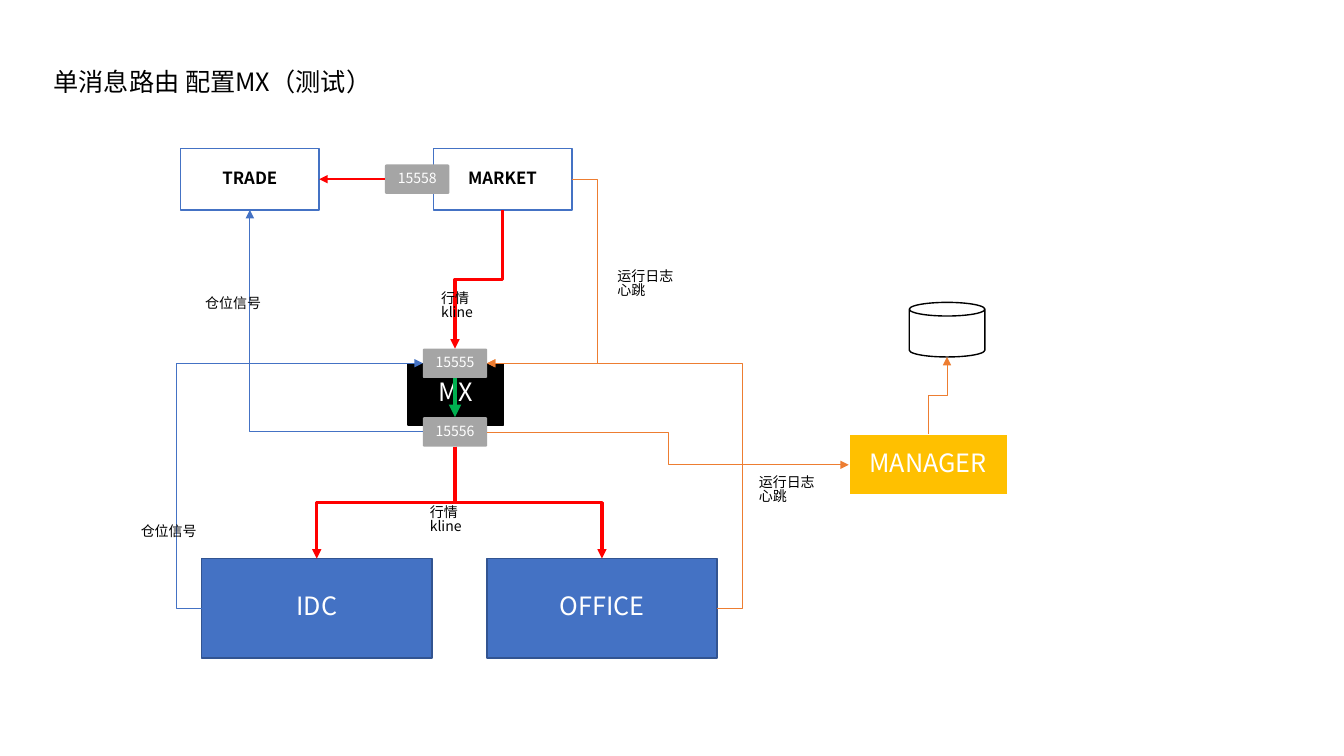
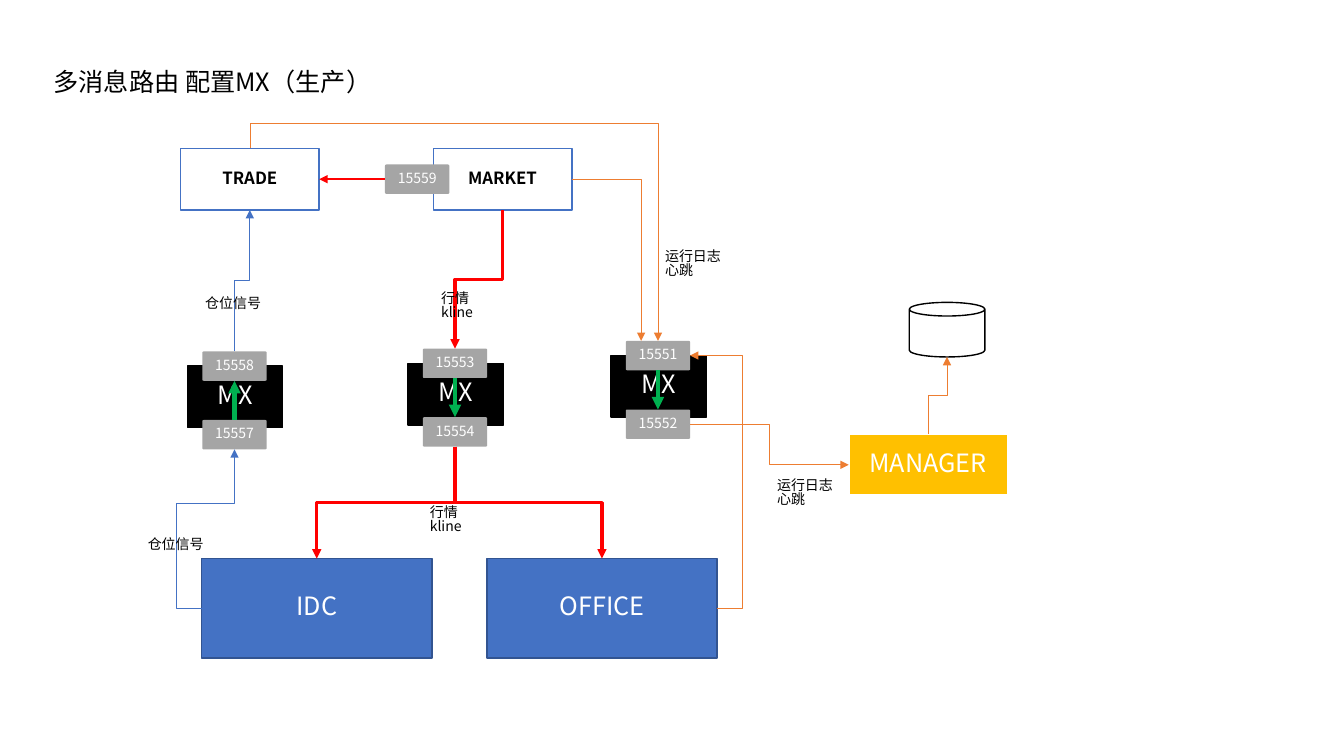
"""Build two message-routing diagrams: a single test router and several production routers."""
from lxml import etree
from pptx import Presentation
from pptx.dml.color import RGBColor
from pptx.enum.shapes import MSO_CONNECTOR as CONNECTOR, MSO_SHAPE as SHAPE
from pptx.enum.text import MSO_ANCHOR as ANCHOR, MSO_AUTO_SIZE as AUTO_SIZE, PP_ALIGN as ALIGN
from pptx.oxml.ns import qn
from pptx.util import Pt

FONT = "Noto Sans CJK SC"
COLORS = {
    "black": "000000", "white": "FFFFFF", "gray": "A5A5A5", "blue": "4472C4", "navy": "325491",
    "amber": "FFC000", "orange": "ED7D31", "red": "FF0000", "green": "00B050",
}
STYLES = {
    "router": (SHAPE.RECTANGLE, 68, 44, "black", "black", 1, "white", 18),
    "port": (SHAPE.ROUNDED_RECTANGLE, 46, 21, "gray", None, 0, "white", 10),
    "module": (SHAPE.RECTANGLE, 99, 44, "white", "blue", 1, "black", 12),
    "site": (SHAPE.RECTANGLE, 164.5, 71, "blue", "navy", 1, "white", 18),
    "manager": (SHAPE.RECTANGLE, 113.5, 44, "amber", "white", 1.5, "white", 18),
    "database": (SHAPE.CAN, 54, 39, "white", "black", 1, "black", 10),
}
SIDES = {"top": (0, 0.5, 0), "left": (1, 0, 0.5), "bottom": (2, 0.5, 1), "right": (3, 1, 0.5)}
DETOUR = Pt(18)

COMMON_BOXES = [
    ("module", "MARKET", 309.5, 106), ("module", "TRADE", 129, 106),
    ("site", "IDC", 144, 399), ("site", "OFFICE", 347.75, 399),
    ("manager", "MANAGER", 606.25, 310),
]
COMMON_LABELS = [("仓位信号", 139.5, 209), ("行情kline", 308, 205), ("行情kline", 300, 358)]
DIAGRAMS = [
    {
        "title": "单消息路由 配置MX（测试）",
        "market_port": "15558",
        "routers": [("15555", "15556", 291.5, 259.5, "down")],
        "quotes": ("15555", "15556"),
        "links": [
            ("15556", "left", "TRADE", "bottom", "blue", {}),
            ("MARKET", "right", "15555", "right", "orange", {"detour": True}),
            ("IDC", "left", "15555", "left", "blue", {"detour": True}),
            ("15556", "right", "MANAGER", "left", "orange", {}),
            ("OFFICE", "right", "15555", "right", "orange", {"detour": True}),
        ],
        "labels": [("仓位信号", 93.5, 371.5), ("运行日志\n心跳", 434, 189.5),
                   ("运行日志\n心跳", 535, 337)],
    },
    {
        "title": "多消息路由 配置MX（生产）",
        "market_port": "15559",
        "routers": [("15553", "15554", 291.5, 259.5, "down"),
                    ("15558", "15557", 134, 261.5, "up"),
                    ("15551", "15552", 436.5, 254, "down")],
        "quotes": ("15553", "15554"),
        "links": [
            ("15558", "top", "TRADE", "bottom", "blue", {}),
            ("TRADE", "top", "15551", "top", "orange", {"detour": True}),
            ("MARKET", "right", "15551", "top", "orange", {"end_shift": -12}),
            ("IDC", "left", "15557", "bottom", "blue", {"detour": True}),
            ("15552", "right", "MANAGER", "left", "orange", {}),
            ("OFFICE", "right", "15551", "right", "orange", {"detour": True}),
        ],
        "labels": [("仓位信号", 98.5, 381), ("运行日志\n心跳", 468, 175),
                   ("运行日志\n心跳", 548, 338.5)],
    },
]


def write_text(shape, text, size, color, align, anchor, bold=False):
    """Fill a shape with uniformly formatted text."""
    frame = shape.text_frame
    frame.text = text
    frame.word_wrap = True
    frame.auto_size = AUTO_SIZE.NONE
    frame.vertical_anchor = anchor
    for paragraph in frame.paragraphs:
        paragraph.alignment = align
        paragraph.line_spacing = 0.83
        paragraph.space_before = Pt(0)
        paragraph.font.name = FONT
        paragraph.font.size = Pt(size)
        paragraph.font.bold = bold
        paragraph.font.color.rgb = RGBColor.from_string(COLORS[color])
    for properties in shape.element.iter(qn("a:defRPr")):
        etree.SubElement(properties, qn("a:ea"), typeface=FONT)


def connect(slide, start, start_side, end, end_side, color, width=0.5, detour=False, end_shift=0):
    """Draw a glued arrow whose bends follow from the sides it joins."""
    points = []
    for shape, side in ((start, start_side), (end, end_side)):
        _, across, down = SIDES[side]
        points.append((shape.left + shape.width * across, shape.top + shape.height * down))
    (start_x, start_y), (end_x, end_y) = points
    end_x += Pt(end_shift)
    run, rise = end_x - start_x, end_y - start_y
    straight = min(abs(run), abs(rise)) < Pt(1)
    vertical = start_side in ("top", "bottom")
    corner = vertical != (end_side in ("top", "bottom"))
    rotated = vertical and not straight

    connector = slide.shapes.add_connector(
        CONNECTOR.STRAIGHT if straight else CONNECTOR.ELBOW, 0, 0, 0, 0)
    connector.begin_connect(start, SIDES[start_side][0])
    if not end_shift:
        is_can = end.auto_shape_type == SHAPE.CAN
        connector.end_connect(end, SIDES[end_side][0] + is_can)
    if rotated:
        middle_x, middle_y = (start_x + end_x) / 2, (start_y + end_y) / 2
        start_x, end_x = middle_x - rise / 2, middle_x + rise / 2
        start_y, end_y = middle_y + run / 2, middle_y - run / 2
    connector.begin_x, connector.begin_y = int(start_x), int(start_y)
    connector.end_x, connector.end_y = int(end_x), int(end_y)
    connector.line.color.rgb = RGBColor.from_string(COLORS[color])
    connector.line.width = Pt(width)

    properties = connector.element.spPr
    if rotated:
        properties.find(qn("a:xfrm")).set("rot", "5400000")
    geometry = properties.find(qn("a:prstGeom"))
    if corner:
        geometry.set("prst", "bentConnector4" if detour else "bentConnector2")
    if detour:
        bends = [-DETOUR / abs(rise if vertical else run)] + [0.66] * corner
        for number, bend in enumerate(bends, 1):
            etree.SubElement(geometry.find(qn("a:avLst")), qn("a:gd"),
                             name=f"adj{number}", fmla=f"val {round(bend * 100000)}")
    etree.SubElement(properties.find(qn("a:ln")), qn("a:tailEnd"), type="triangle")
    etree.SubElement(properties, qn("a:effectLst"))


presentation = Presentation()
presentation.slide_width, presentation.slide_height = Pt(960), Pt(540)
title_only = presentation.slide_layouts[5]

for diagram in DIAGRAMS:
    slide = presentation.slides.add_slide(title_only)
    title = slide.shapes.title
    title.left, title.top, title.width, title.height = Pt(31), Pt(47.5), Pt(245.5), Pt(29)
    write_text(title, diagram["title"], 18, "black", ALIGN.LEFT, ANCHOR.TOP)

    layout = COMMON_BOXES + [("port", diagram["market_port"], 275, 117.5),
                             ("database", "", 649.5, 216)]
    for upper, lower, left, top, _ in diagram["routers"]:
        layout += [("router", "MX", left, top),
                   ("port", upper, left + 10.5, top - 10.5),
                   ("port", lower, left + 10.5, top + 38.5)]

    boxes = {}
    for style, text, left, top in layout:
        kind, width, height, fill, line, line_width, text_color, size = STYLES[style]
        box = slide.shapes.add_shape(kind, Pt(left), Pt(top), Pt(width), Pt(height))
        box.shadow.inherit = False
        box.fill.solid()
        box.fill.fore_color.rgb = RGBColor.from_string(COLORS[fill])
        if line:
            box.line.color.rgb = RGBColor.from_string(COLORS[line])
            box.line.width = Pt(line_width)
        else:
            box.line.fill.background()
        if style == "port":
            box.adjustments[0] = 0.05
        if text:
            write_text(box, text, size, text_color, ALIGN.CENTER, ANCHOR.MIDDLE, style == "module")
        boxes[text or style] = box

    quotes_in, quotes_out = diagram["quotes"]
    links = [
        ("MARKET", "bottom", quotes_in, "top", "red", {"width": 2.25}),
        (quotes_out, "bottom", "IDC", "top", "red", {"width": 2.25}),
        (quotes_out, "bottom", "OFFICE", "top", "red", {"width": 2.25}),
        (diagram["market_port"], "left", "TRADE", "right", "red", {"width": 1}),
        ("MANAGER", "top", "database", "bottom", "orange", {}),
    ] + diagram["links"]
    for upper, lower, _, _, direction in diagram["routers"]:
        if direction == "down":
            links.append((upper, "bottom", lower, "top", "green", {"width": 3}))
        else:
            links.append((lower, "top", upper, "bottom", "green", {"width": 3}))
    for start, start_side, end, end_side, color, options in links:
        connect(slide, boxes[start], start_side, boxes[end], end_side, color, **options)

    for text, left, top in COMMON_LABELS + diagram["labels"]:
        height = 32 if "\n" in text else 19.5
        label = slide.shapes.add_textbox(Pt(left), Pt(top), Pt(55), Pt(height))
        write_text(label, text, 10, "black", ALIGN.LEFT, ANCHOR.TOP)

presentation.save("out.pptx")
